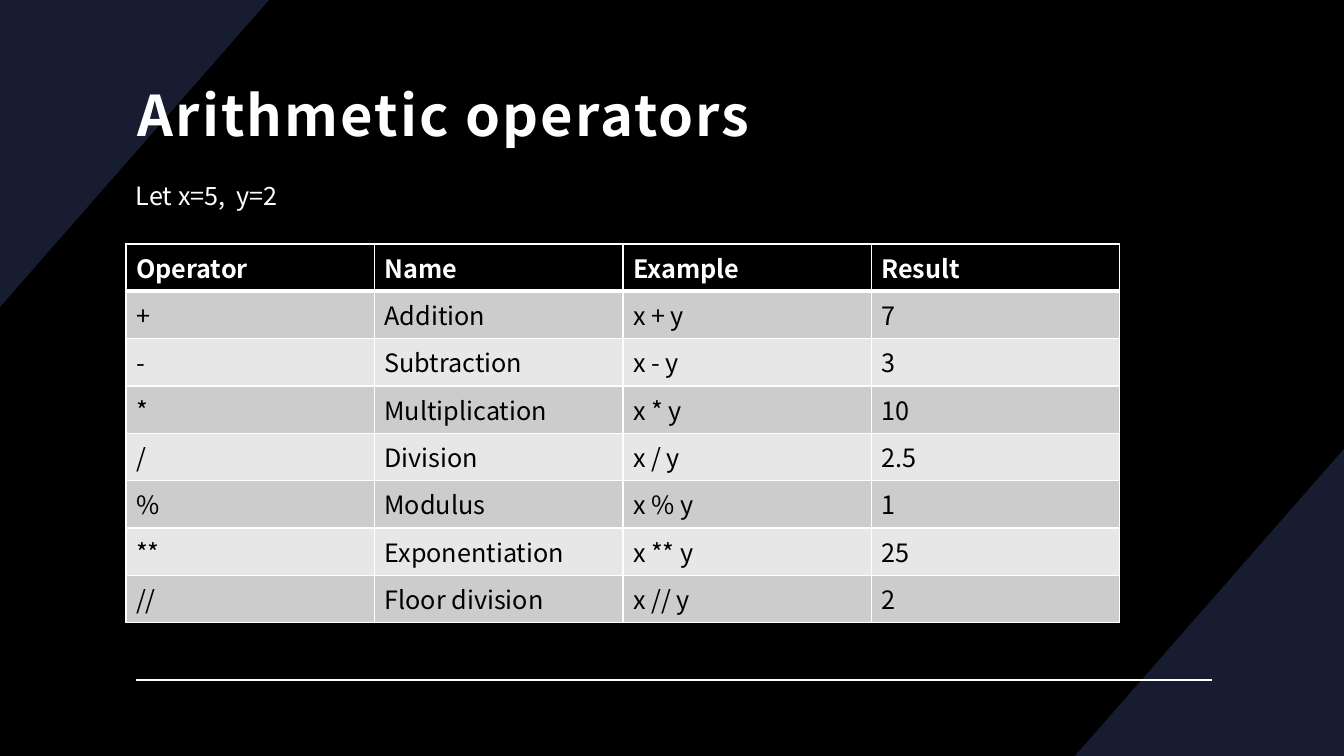
from dataclasses import dataclass

from lxml.etree import SubElement
from pptx import Presentation
from pptx.dml.color import RGBColor
from pptx.enum.shapes import MSO_CONNECTOR
from pptx.enum.text import MSO_ANCHOR, MSO_AUTO_SIZE, PP_ALIGN
from pptx.oxml import parse_xml
from pptx.oxml.ns import nsdecls, qn
from pptx.util import Emu, Pt

TITLE = "Arithmetic operators"
GIVEN = "Let x=5,  y=2"
OPERATORS = [
    ("Operator", "Name", "Example", "Result"),
    ("+", "Addition", "x + y", "7"),
    ("-", "Subtraction", "x - y", "3"),
    ("*", "Multiplication", "x * y", "10"),
    ("/", "Division", "x / y", "2.5"),
    ("%", "Modulus", "x % y", "1"),
    ("**", "Exponentiation", "x ** y", "25"),
    ("//", "Floor division", "x // y", "2"),
]

WIDTH, HEIGHT = 1344, 756
CORNER_WIDTH, CORNER_HEIGHT = 269, 307
TITLE_BOX = (126, 72, 1092, 75)
GIVEN_BOX = (126, 175, 388, 40)
TABLE_BOX = (126, 244, 994, 379)
RULE_LEFT, RULE_RIGHT, RULE_TOP = 136, 1212, 680
EMU_PER_PX = 914400 / 100.8


@dataclass(frozen=True)
class Theme:
    font: str = "Noto Sans CJK SC"
    dark: str = "000000"
    light: str = "FFFFFF"
    corner: str = "181C30"
    bands: tuple = ("E7E7E7", "CCCCCC")
    title_size: int = 40
    body_size: int = 18
    thin: int = 1
    thick: int = 3


THEME = Theme()


def px(length):
    return Emu(round(length * EMU_PER_PX))


def paint(fill, color):
    fill.solid()
    fill.fore_color.rgb = RGBColor.from_string(color)


def set_all(target, values):
    for name, value in values.items():
        setattr(target, name, value)


def write(para, text, color, size=THEME.body_size, bold=False):
    span = para.add_run()
    span.text = text
    set_all(span.font, {"name": THEME.font, "size": Pt(size), "bold": bold})
    span.font.color.rgb = RGBColor.from_string(color)
    return span


def add_corner(page, points):
    builder = page.shapes.build_freeform(*points[0], scale=EMU_PER_PX)
    builder.add_line_segments(points[1:], close=True)
    corner = builder.convert_to_shape()
    corner.shadow.inherit = False
    paint(corner.fill, THEME.corner)
    corner.line.fill.background()


def add_rule(page):
    rule = page.shapes.add_connector(
        MSO_CONNECTOR.STRAIGHT, px(RULE_LEFT), px(RULE_TOP), px(RULE_RIGHT), px(RULE_TOP))
    rule.line.width = Pt(THEME.thin)
    paint(rule.line.fill, THEME.light)
    SubElement(rule.element.spPr, qn("a:effectLst"))


def add_title(page):
    title = page.shapes.title
    # Bring the title in front of the corners.
    title.element.getparent().append(title.element)
    set_all(title, dict(zip(("left", "top", "width", "height"), map(px, TITLE_BOX))))
    set_all(title.text_frame, {
        "margin_left": px(12), "margin_top": px(12),
        "margin_right": px(12), "margin_bottom": px(10),
        "vertical_anchor": MSO_ANCHOR.MIDDLE,
        "auto_size": MSO_AUTO_SIZE.NONE, "word_wrap": True,
    })
    para = title.text_frame.paragraphs[0]
    set_all(para, {"alignment": PP_ALIGN.LEFT, "line_spacing": 1.1})
    span = write(para, TITLE, THEME.light, THEME.title_size, True)
    span.font._element.set("spc", "150")


def add_given(page):
    box = page.shapes.add_textbox(*map(px, GIVEN_BOX))
    set_all(box.text_frame, {"word_wrap": True, "auto_size": MSO_AUTO_SIZE.SHAPE_TO_FIT_TEXT})
    write(box.text_frame.paragraphs[0], GIVEN, THEME.light)


def add_borders(cell, top, bottom):
    """Outline a cell; the lines must precede the fill in its properties."""
    widths = {"lnL": THEME.thin, "lnR": THEME.thin, "lnT": top, "lnB": bottom}
    properties = cell._tc.get_or_add_tcPr()
    for place, (side, width) in enumerate(widths.items()):
        properties.insert(place, parse_xml(
            f'<a:{side} {nsdecls("a")} w="{Pt(width)}"><a:solidFill>'
            f'<a:srgbClr val="{THEME.light}"/></a:solidFill></a:{side}>'))


def add_operator_table(page):
    row_count, column_count = len(OPERATORS), len(OPERATORS[0])
    table = page.shapes.add_table(row_count, column_count, *map(px, TABLE_BOX)).table
    for column in table.columns:
        column.width = px(TABLE_BOX[2] / column_count)
    for row in table.rows:
        row.height = px(TABLE_BOX[3] / row_count)
    for r, values in enumerate(OPERATORS):
        header = r == 0
        for c, text in enumerate(values):
            cell = table.cell(r, c)
            paint(cell.fill, THEME.dark if header else THEME.bands[r % 2])
            add_borders(cell, THEME.thick if r == 1 else THEME.thin,
                        THEME.thick if header else THEME.thin)
            write(cell.text_frame.paragraphs[0], text,
                  THEME.light if header else THEME.dark, bold=header)


def main():
    deck = Presentation()
    set_all(deck, {"slide_width": px(WIDTH), "slide_height": px(HEIGHT)})
    page = deck.slides.add_slide(deck.slide_layouts.get_by_name("Title Only"))
    paint(page.background.fill, THEME.dark)
    add_corner(page, [(WIDTH, HEIGHT - CORNER_HEIGHT), (WIDTH, HEIGHT),
                      (WIDTH - CORNER_WIDTH, HEIGHT)])
    add_corner(page, [(0, 0), (CORNER_WIDTH, 0), (0, CORNER_HEIGHT)])
    add_rule(page)
    add_title(page)
    add_operator_table(page)
    add_given(page)
    deck.save("out.pptx")


if __name__ == "__main__":
    main()
